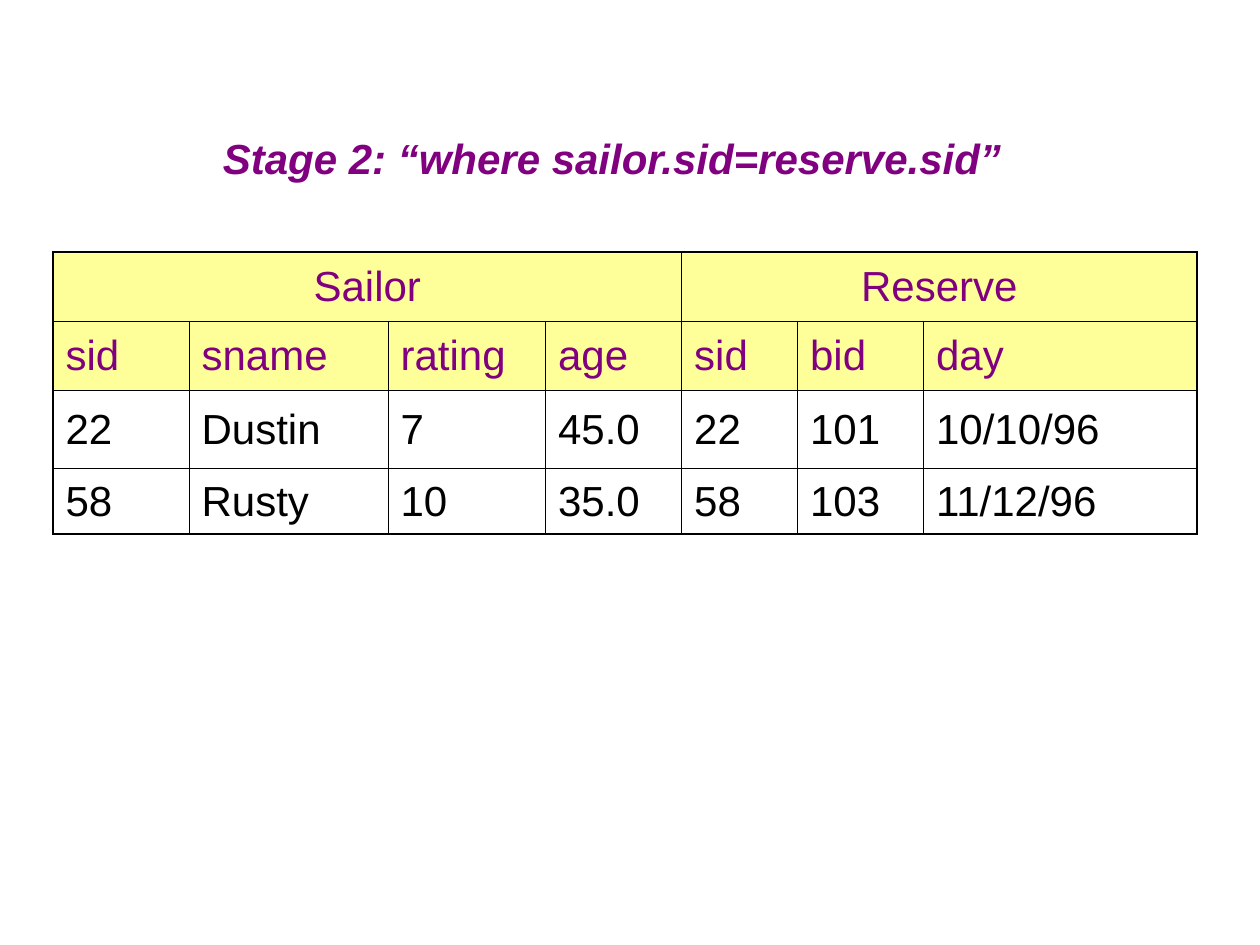
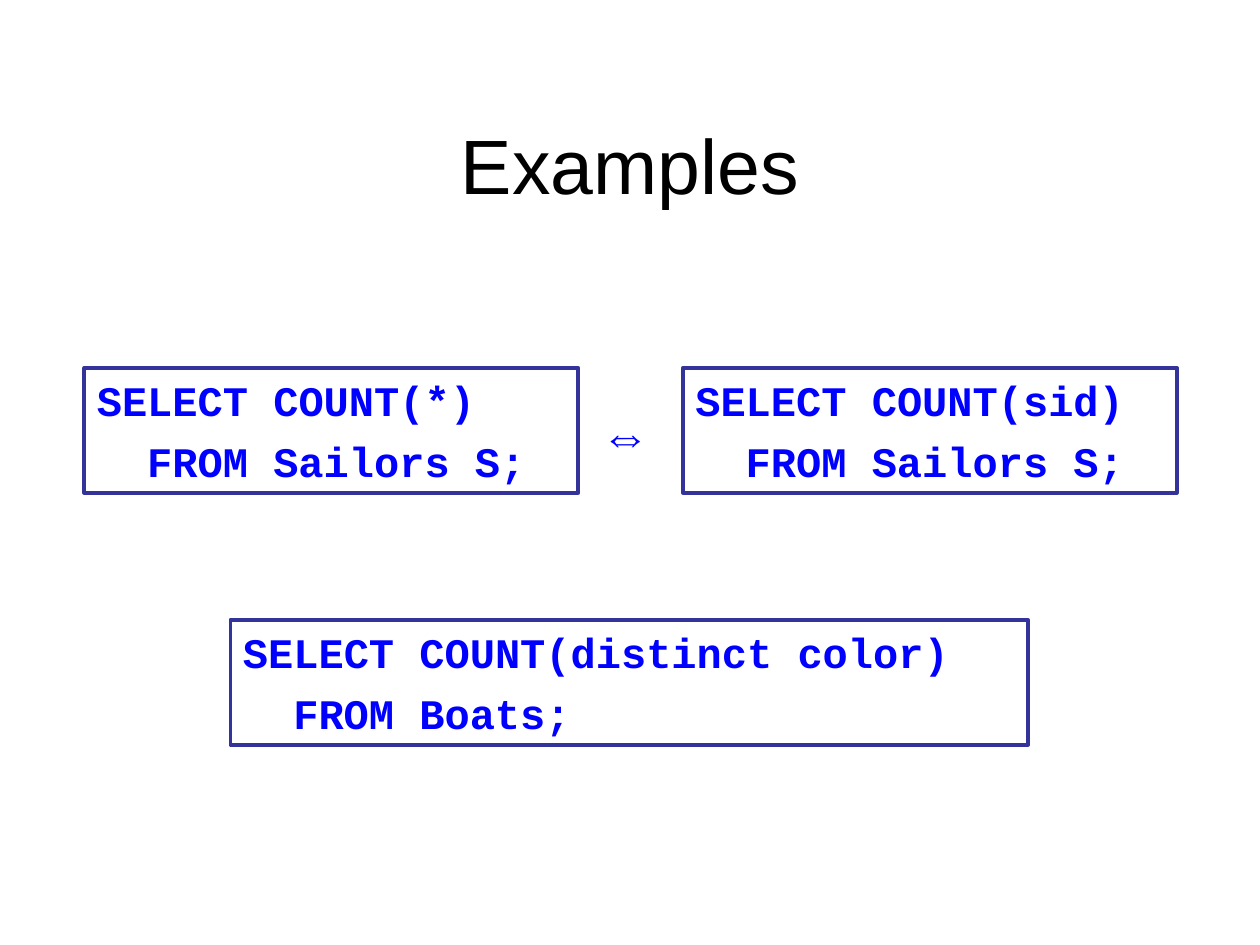
import pptx
import pptx.util
import pptx.dml.color
import pptx.enum.shapes
import pptx.enum.text
import pptx.oxml
from dataclasses import dataclass

Inches, Pt = pptx.util.Inches, pptx.util.Pt
Align, Anchor = pptx.enum.text.PP_ALIGN, pptx.enum.text.MSO_ANCHOR


@dataclass(frozen=True)
class Theme:
    white: str = "FFFFFF"
    black: str = "000000"
    purple: str = "800080"
    header_fill: str = "FFFF99"
    code_text: str = "0000FF"
    code_line: str = "333399"
    sans: str = "Arial"
    mono: str = "Courier New"
    title_size: float = 44
    arrow_size: float = 28
    body_size: float = 24
    thin: float = 0.45
    thick: float = 1.08
    code_border: float = 2.24


theme = Theme()
rgb = pptx.dml.color.RGBColor.from_string


def write(frame, lines, color, font=theme.sans, size=theme.body_size,
          align=Align.LEFT, before=6, anchor=Anchor.TOP, **font_format):
    """Fill a text frame, one (text, left indent in inches) per paragraph."""
    frame.word_wrap = True
    frame.vertical_anchor = anchor
    for number, (text, indent) in enumerate(lines):
        paragraph = frame.paragraphs[0] if number == 0 else frame.add_paragraph()
        paragraph.alignment, paragraph.space_before = align, Pt(before)
        if indent:
            paragraph._p.get_or_add_pPr().set("marL", str(Inches(indent)))
        run = paragraph.add_run()
        run.text = text
        run.font.color.rgb = rgb(color)
        values = {"name": font, "size": Pt(size), **font_format}
        for name, value in values.items():
            setattr(run.font, name, value)


def draw_border(cell, side, width):
    """Add one black cell edge; call before the cell fill is set."""
    namespace = "http://schemas.openxmlformats.org/drawingml/2006/main"
    cell._tc.get_or_add_tcPr().append(pptx.oxml.parse_xml(
        f'<a:{side} xmlns:a="{namespace}" w="{Pt(width)}"><a:solidFill>'
        f'<a:srgbClr val="{theme.black}"/></a:solidFill></a:{side}>'))


presentation = pptx.Presentation()
presentation.slide_width, presentation.slide_height = Inches(10), Inches(7.5)
blank = presentation.slide_layouts[6]

# Slide 1: joined rows of both tables
slide = presentation.slides.add_slide(blank)
heading = slide.shapes.add_textbox(Inches(1.67), Inches(1), Inches(7.08), Inches(0.5))
write(heading.text_frame, [("Stage 2: “where sailor.sid=reserve.sid”", 0)],
      theme.purple, before=15, bold=True, italic=True)

rows = [
    ["Sailor", "", "", "", "Reserve", "", ""],
    ["sid", "sname", "rating", "age", "sid", "bid", "day"],
    ["22", "Dustin", "7", "45.0", "22", "101", "10/10/96"],
    ["58", "Rusty", "10", "35.0", "58", "103", "11/12/96"],
]
column_widths = [1.08, 1.58, 1.25, 1.08, 0.92, 1, 2.17]
row_heights = [0.55, 0.55, 0.62, 0.52]
header_rows = 2
last_row, last_column = len(rows) - 1, len(column_widths) - 1

table_frame = slide.shapes.add_table(
    len(rows), len(column_widths), Inches(0.42), Inches(2),
    Inches(sum(column_widths)), Inches(sum(row_heights)))
table = table_frame.table
table.first_row = table.horz_banding = False
for column, width in zip(table.columns, column_widths):
    column.width = Inches(width)
for row, height in zip(table.rows, row_heights):
    row.height = Inches(height)
for first, last in [(0, 3), (4, last_column)]:
    table.cell(0, first).merge(table.cell(0, last))

for row_index, row in enumerate(rows):
    is_header = row_index < header_rows
    for column_index, text in enumerate(row):
        cell = table.cell(row_index, column_index)
        outer_sides = {"lnL": column_index == 0, "lnR": column_index == last_column,
                       "lnT": row_index == 0, "lnB": row_index == last_row}
        if cell.is_merge_origin:
            outer_sides["lnR"] = column_index + cell.span_width - 1 == last_column
        for side, is_outer in outer_sides.items():
            draw_border(cell, side, theme.thick if is_outer else theme.thin)
        if is_header:
            cell.fill.solid()
            cell.fill.fore_color.rgb = rgb(theme.header_fill)
        else:
            cell.fill.background()
        cell.vertical_anchor = Anchor.MIDDLE
        if text:
            write(cell.text_frame, [(text, 0)],
                  theme.purple if is_header else theme.black,
                  align=Align.CENTER if row_index == 0 else Align.LEFT,
                  anchor=Anchor.MIDDLE)

# Slide 2: COUNT queries
slide = presentation.slides.add_slide(blank)
title = slide.shapes.add_textbox(Inches(0.75), Inches(0.67), Inches(8.5), Inches(1.25))
write(title.text_frame, [("Examples", 0)], theme.black, size=theme.title_size,
      align=Align.CENTER, before=0, anchor=Anchor.MIDDLE)

# Query boxes, the second line indented by two characters
code_indent = 0.4
queries = [
    (0.67, 2.92, 3.92, "SELECT COUNT(*)", "FROM Sailors S;"),
    (1.83, 4.92, 6.33, "SELECT COUNT(distinct color)", "FROM Boats;"),
    (5.42, 2.92, 3.92, "SELECT COUNT(sid)", "FROM Sailors S;"),
]
for left, top, width, select_line, from_line in queries:
    box = slide.shapes.add_shape(
        pptx.enum.shapes.MSO_SHAPE.RECTANGLE,
        Inches(left), Inches(top), Inches(width), Inches(0.99))
    box.shadow.inherit = False
    box.fill.solid()
    box.fill.fore_color.rgb = rgb(theme.white)
    box.line.color.rgb = rgb(theme.code_line)
    box.line.width = Pt(theme.code_border)
    write(box.text_frame, [(select_line, 0), (from_line, code_indent)],
          theme.code_text, font=theme.mono, bold=True)

# Equivalence sign between the two upper boxes
sign = slide.shapes.add_textbox(Inches(4.67), Inches(3.17), Inches(0.5), Inches(0.57))
write(sign.text_frame, [("⇔", 0)], theme.code_text, size=theme.arrow_size,
      align=Align.CENTER, before=17.5, bold=True)

presentation.save("out.pptx")
